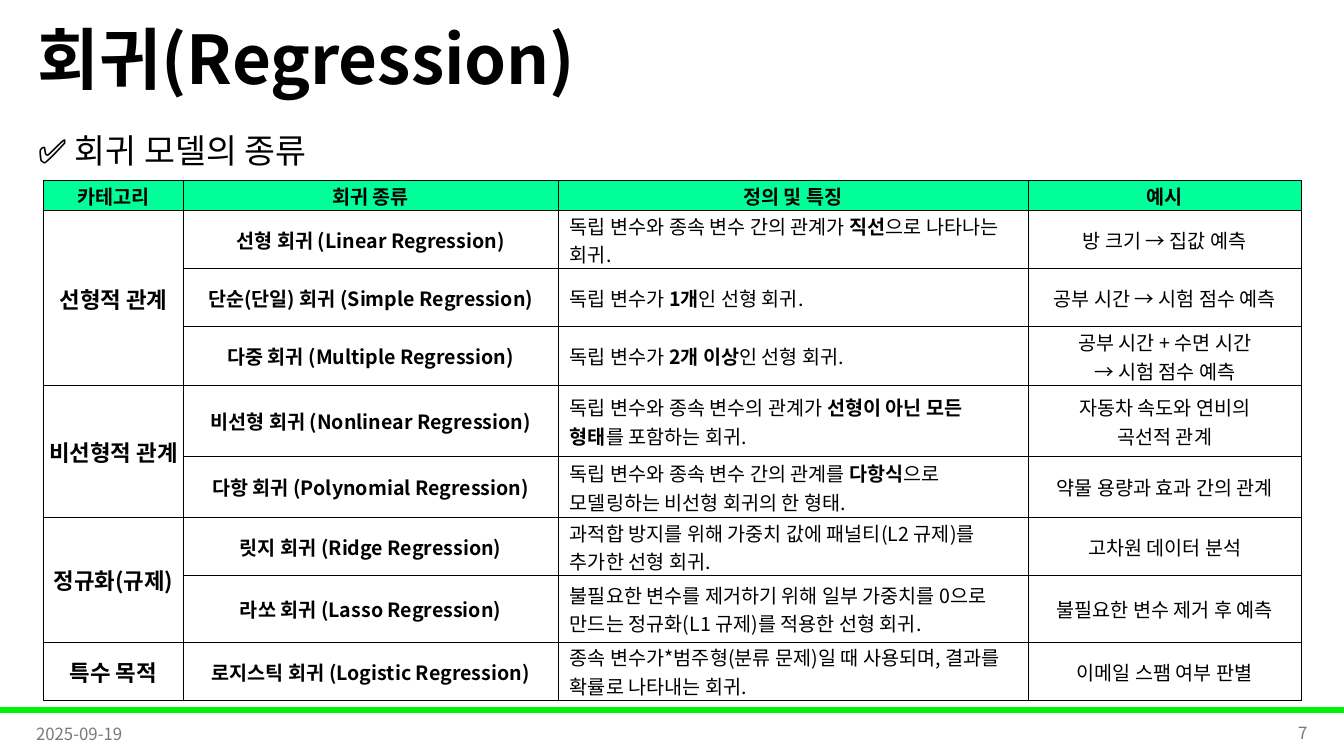
"""Build a slide with a table of regression model types."""
from pptx import Presentation
from pptx.dml.color import RGBColor
from pptx.enum.shapes import MSO_SHAPE
from pptx.enum.text import MSO_ANCHOR, MSO_AUTO_SIZE, PP_ALIGN
from pptx.oxml import parse_xml
from pptx.oxml.ns import nsdecls
from pptx.util import Pt

RECT = MSO_SHAPE.RECTANGLE
MID, TOP = MSO_ANCHOR.MIDDLE, MSO_ANCHOR.TOP
LEFT, MIDST, RIGHT = PP_ALIGN.LEFT, PP_ALIGN.CENTER, PP_ALIGN.RIGHT
FIXED = MSO_AUTO_SIZE.NONE

COLS = [100.1, 267.4, 336, 195.1]
ROWS = [21.4, 41.4, 41.4, 42.1, 50.9, 43.4, 41.4, 47.9, 41.4]
HEADS = ["카테고리", "회귀 종류", "정의 및 특징", "예시"]
GROUPS = [
    ("선형적 관계", [
        ("선형 회귀 (Linear Regression)",
         "독립 변수와 종속 변수 간의 관계가 |직선|으로 나타나는 회귀.",
         "방 크기 → 집값 예측"),
        ("단순(단일) 회귀 (Simple Regression)",
         "독립 변수가 |1개|인 선형 회귀.",
         "공부 시간 → 시험 점수 예측"),
        ("다중 회귀 (Multiple Regression)",
         "독립 변수가 |2개 이상|인 선형 회귀.",
         "공부 시간 + 수면 시간\n→ 시험 점수 예측"),
    ]),
    ("비선형적 관계", [
        ("비선형 회귀 (Nonlinear Regression)",
         "독립 변수와 종속 변수의 관계가 |선형이 아닌 모든 형태|를 포함하는 회귀.",
         "자동차 속도와 연비의\n곡선적 관계"),
        ("다항 회귀 (Polynomial Regression)",
         "독립 변수와 종속 변수 간의 관계를 |다항식|으로 모델링하는 비선형 회귀의 한 형태.",
         "약물 용량과 효과 간의 관계"),
    ]),
    ("정규화(규제)", [
        ("릿지 회귀 (Ridge Regression)",
         "과적합 방지를 위해 가중치 값에 패널티(L2 규제)를 추가한 선형 회귀.",
         "고차원 데이터 분석"),
        ("라쏘 회귀 (Lasso Regression)",
         "불필요한 변수를 제거하기 위해 일부 가중치를 0으로 만드는 정규화(L1 규제)를 적용한 선형 회귀.",
         "불필요한 변수 제거 후 예측"),
    ]),
    ("특수 목적", [
        ("로지스틱 회귀 (Logistic Regression)",
         "종속 변수가*범주형(분류 문제)일 때 사용되며, 결과를 확률로 나타내는 회귀.",
         "이메일 스팸 여부 판별"),
    ]),
]


def tint(code):
    """Turn a hex string into a colour."""
    return RGBColor.from_string(code)


class Deck:
    """Hold the style and the current slide."""

    face = "Noto Sans CJK KR"
    ink, grey, bar_hue, head_hue = "000000", "797979", "00F209", "00FF99"

    def __init__(self):
        """Open a wide deck with one slide."""
        self.show = Presentation()
        self.show.slide_width, self.show.slide_height = Pt(960), Pt(540)
        self.slide = self.show.slides.add_slide(self.show.slide_layouts[1])

    def style(self, para, size, hue=None, bold=False, align=LEFT):
        """Format a paragraph and its runs, without kerning."""
        para.alignment = align
        for run in para.runs:
            font = run.font
            font.size, font.bold, font.name = Pt(size), bold, self.face
            font.color.rgb = tint(hue or self.ink)
            props = run._r.get_or_add_rPr()
            props.set("kern", "0")
            props.append(
                parse_xml(f'<a:ea {nsdecls("a")} typeface="{self.face}"/>'))

    def place(self, shape, box):
        """Move a shape to left, top, width and height."""
        shape.left, shape.top, shape.width, shape.height = map(Pt, box)

    def holder(self, index, box, text, size, gap, anchor, bold=False):
        """Fill a placeholder with one plain line."""
        shape = self.slide.placeholders[index]
        self.place(shape, box)
        frame = shape.text_frame
        frame.text = text
        frame.word_wrap, frame.auto_size = True, FIXED
        frame.vertical_anchor = anchor
        para = frame.paragraphs[0]
        props = para._p.get_or_add_pPr()
        props.set("marL", "0")
        props.set("indent", "0")
        props.append(parse_xml(f'<a:buNone {nsdecls("a")}/>'))
        para.line_spacing, para.space_before = gap, Pt(0)
        self.style(para, size, bold=bold)

    def note(self, box, text, align):
        """Add a small grey footer text."""
        frame = self.slide.shapes.add_textbox(*map(Pt, box)).text_frame
        frame.text = text
        frame.word_wrap, frame.vertical_anchor = True, MID
        self.style(frame.paragraphs[0], 12, self.grey, align=align)

    def bar(self, box):
        """Add the green footer rule."""
        shape = self.slide.shapes.add_shape(RECT, *map(Pt, box))
        shape.shadow.inherit = False
        shape.fill.solid()
        shape.fill.fore_color.rgb = tint(self.bar_hue)
        shape.line.color.rgb = tint(self.bar_hue)
        shape.line.width = Pt(1)

    def grid(self, box, rows, cols):
        """Add a plain table with thin borders."""
        table = self.slide.shapes.add_table(
            len(rows), len(cols), *map(Pt, box)).table
        table.horz_banding = False
        for row, high in zip(table.rows, rows):
            row.height = Pt(high)
        for col, wide in zip(table.columns, cols):
            col.width = Pt(wide)
        for cell in table.iter_cells():
            cell.fill.background()
            props = cell._tc.get_or_add_tcPr()
            for spot, side in enumerate("LRTB"):
                props.insert(spot, parse_xml(
                    f'<a:ln{side} {nsdecls("a")} w="{Pt(0.5)}"><a:solidFill>'
                    f'<a:srgbClr val="{self.ink}"/></a:solidFill></a:ln{side}>'))
        return table

    def cell(self, cell, text, size=14, bold=False, align=MIDST, pad=8.64,
             fill=None):
        """Fill a cell, with text between bars in bold."""
        cell.vertical_anchor = MID
        cell.margin_left = cell.margin_right = Pt(pad)
        cell.margin_top, cell.margin_bottom = Pt(0.72), Pt(0)
        if fill:
            cell.fill.solid()
            cell.fill.fore_color.rgb = tint(fill)
        frame = cell.text_frame
        frame.text = text.replace("|", "")
        for para in frame.paragraphs:
            self.style(para, size, bold=bold, align=align)
        if "|" in text:
            para = frame.paragraphs[0]
            para.clear()
            for part in text.split("|"):
                para.add_run().text = part
            self.style(para, size, align=align)
            para.runs[1].font.bold = True


def main():
    """Draw the slide and save it."""
    deck = Deck()
    deck.bar((0, 505.2, 960, 3.6))
    deck.holder(0, (19.9, 0, 828, 90), "회귀(Regression)", 48, 0.9, MID, True)
    deck.holder(1, (19.9, 83.5, 906.5, 45.4), "✅ 회귀 모델의 종류", 24, 1.2, TOP)
    deck.note((18.7, 509.8, 216, 28.8), "2025-09-19", LEFT)
    deck.note((725, 509, 216, 28.8), "7", RIGHT)
    table = deck.grid((31, 128.9, sum(COLS), sum(ROWS)), ROWS, COLS)
    for col, head in enumerate(HEADS):
        deck.cell(table.cell(0, col), head, bold=True, pad=0.72,
                  fill=deck.head_hue)
    row = 1
    for group, kinds in GROUPS:
        first = table.cell(row, 0)
        if len(kinds) > 1:
            first.merge(table.cell(row + len(kinds) - 1, 0))
        deck.cell(first, group, 16, True, pad=0.72)
        for name, sense, case in kinds:
            deck.cell(table.cell(row, 1), name, bold=True)
            deck.cell(table.cell(row, 2), sense, align=LEFT)
            deck.cell(table.cell(row, 3), case)
            row += 1
    deck.show.save("out.pptx")


if __name__ == "__main__":
    main()
